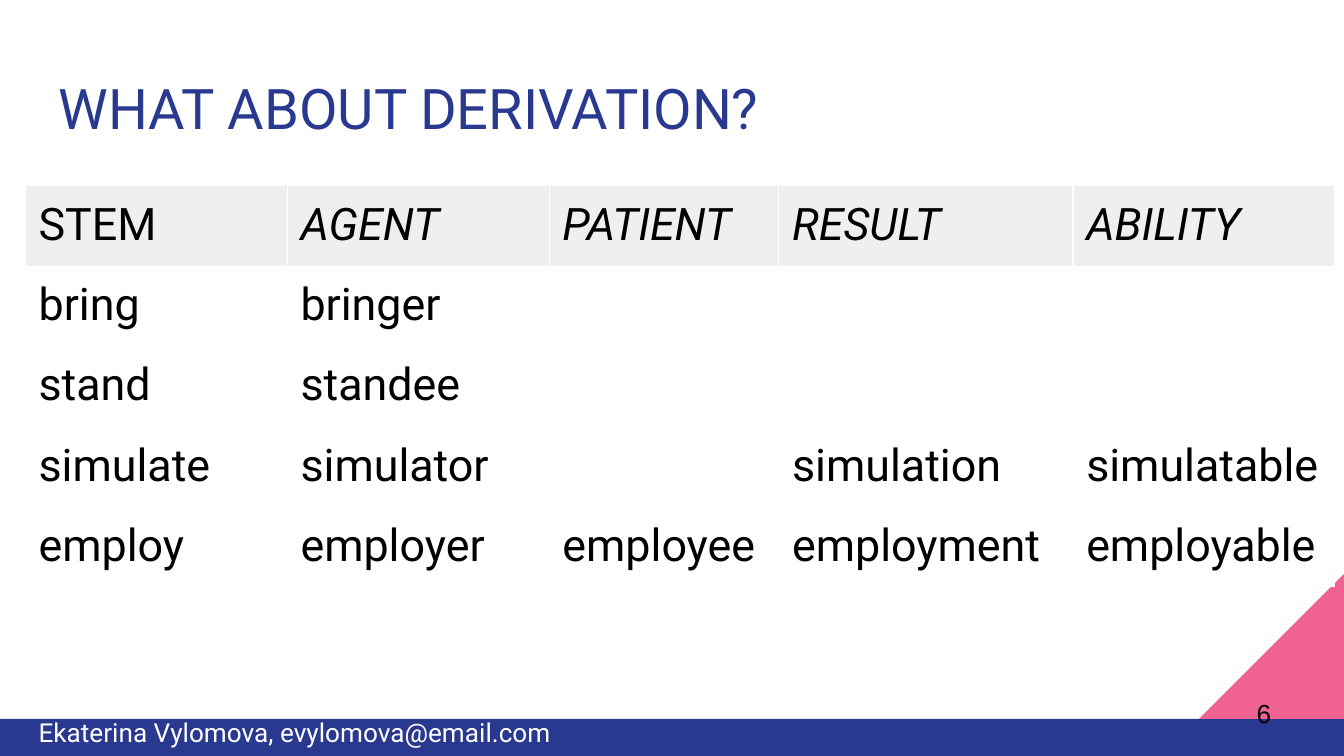
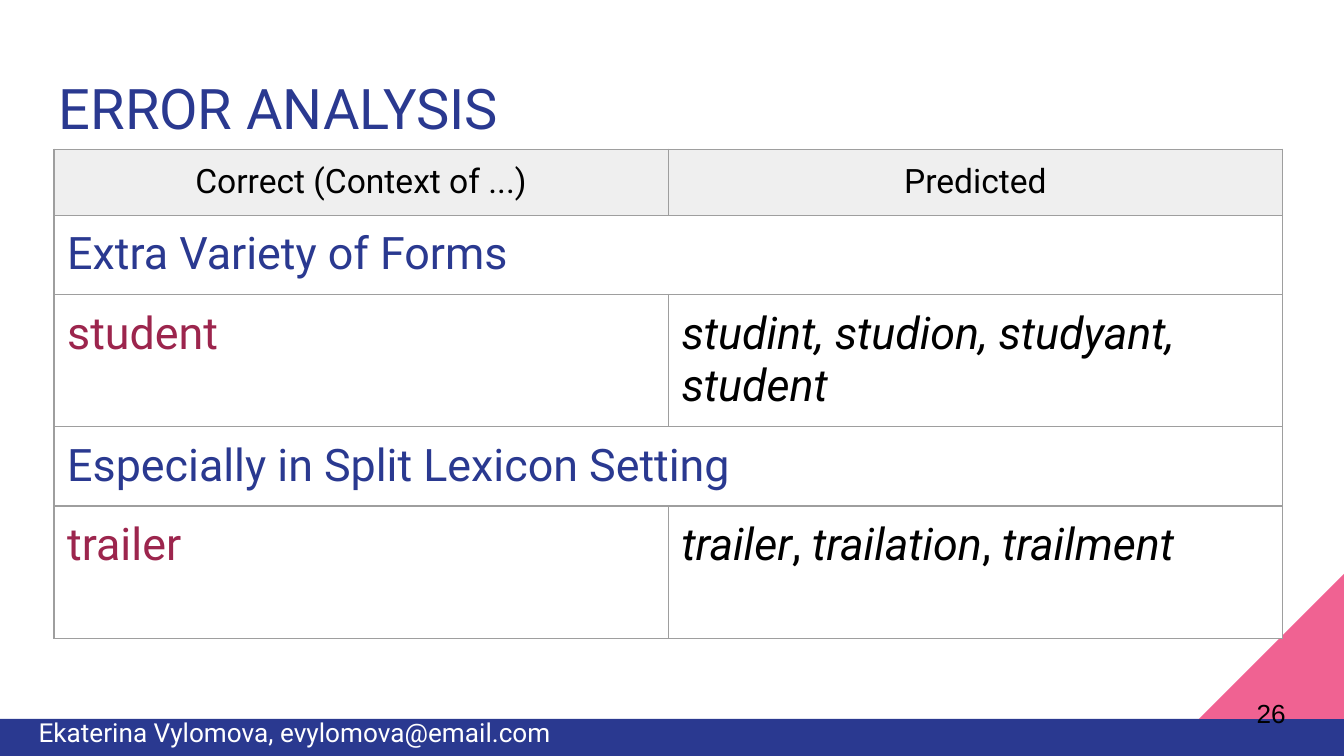
from collections import namedtuple

from lxml import etree
from pptx import Presentation
from pptx.dml.color import RGBColor
from pptx.enum.shapes import MSO_SHAPE
from pptx.enum.text import MSO_ANCHOR, MSO_AUTO_SIZE, PP_ALIGN
from pptx.oxml.ns import qn
from pptx.util import Cm, Pt

RECTANGLE, TRIANGLE = MSO_SHAPE.RECTANGLE, MSO_SHAPE.RIGHT_TRIANGLE
TOP, MIDDLE = MSO_ANCHOR.TOP, MSO_ANCHOR.MIDDLE
LEFT, CENTER = PP_ALIGN.LEFT, PP_ALIGN.CENTER
NO_FIT = MSO_AUTO_SIZE.NONE

COLORS = {
    "navy": "2A3990",
    "pink": "F06292",
    "berry": "9C254D",
    "black": "000000",
    "white": "FFFFFF",
    "header": "EFEFEF",
    "grid": "9E9E9E",
}
FONT = "Roboto"
INSET = Cm(0.25)
TITLE_ONLY = 5
PLAIN_TABLE = "{2D5ABB26-0587-4C30-8999-92F81FD0307C}"
AUTHOR = "Ekaterina Vylomova, evylomova@email.com"

Box = namedtuple("Box", "left top width height")
PAGE = Box(0, 0, Cm(25.4), Cm(14.29))

DERIVATIONS = [
    ["STEM", "AGENT", "PATIENT", "RESULT", "ABILITY"],
    ["bring", "bringer", "", "", ""],
    ["stand", "standee", "", "", ""],
    ["simulate", "simulator", "", "simulation", "simulatable"],
    ["employ", "employer", "employee", "employment", "employable"],
]
ERROR_HEADER = ["Correct (Context of ...)", "Predicted"]
ERROR_GROUPS = [
    ("Extra Variety of Forms", "student",
     [("studint, studion, studyant, student", True)]),
    ("Especially in Split Lexicon Setting", "trailer",
     [("trailer", True), (", ", False), ("trailation", True),
      (", ", False), ("trailment", True)]),
]


def rgb(name):
    """Return the named colour."""
    return RGBColor.from_string(COLORS[name])


def write(frame, text, size, color="black", font=FONT, italic=False, align=LEFT):
    """Write one paragraph from a string or from (text, italic) pieces."""
    para = frame.paragraphs[0]
    para.alignment = align
    para.font.name, para.font.size = font, Pt(size)
    para.font.color.rgb = rgb(color)
    if isinstance(text, str):
        para.font.italic = italic
        para.add_run().text = text
        return
    for piece, slanted in text:
        span = para.add_run()
        span.text = piece
        span.font.italic = slanted


def set_frame(frame, anchor=TOP):
    """Give a text frame wrapping, even insets and a fixed size."""
    frame.word_wrap, frame.auto_size = True, NO_FIT
    frame.vertical_anchor = anchor
    frame.margin_left = frame.margin_right = INSET
    frame.margin_top = frame.margin_bottom = INSET


def add_block(page, kind, box, color):
    """Add a flat shape without outline."""
    shape = page.shapes.add_shape(kind, *box)
    shape.shadow.inherit = False
    shape.fill.solid()
    shape.fill.fore_color.rgb = rgb(color)
    shape.line.fill.background()
    return shape


def add_label(page, box, text, color, font=FONT, anchor=TOP):
    """Add a small text box."""
    frame = page.shapes.add_textbox(*box).text_frame
    set_frame(frame, anchor)
    write(frame, text, 14, color, font)


def add_footer(page, box, number):
    """Draw the band, corner triangle, page number and author line."""
    right, bottom = box.left + box.width, box.top + box.height
    band_top, side = bottom - Cm(0.7), Cm(2.74)
    add_block(page, RECTANGLE, Box(box.left, band_top, box.width, Cm(0.7)), "navy")
    corner = add_block(
        page, TRIANGLE, Box(right - side, band_top - side, side, side), "pink")
    corner.element.spPr.get_or_add_xfrm().set("flipH", "1")
    add_label(page, Box(right - Cm(1.9), bottom - Cm(1.36), Cm(1.52), Cm(1.09)),
              str(number), "black", "Arial", MIDDLE)
    add_label(page, Box(box.left + Cm(0.48), bottom - Cm(1), Cm(19.5), Cm(2.29)),
              AUTHOR, "white")


def add_page(deck, box, title, number):
    """Start a page with its footer and title."""
    page = deck.slides.add_slide(deck.slide_layouts[TITLE_ONLY])
    add_footer(page, box, number)
    holder = page.shapes.title
    holder.left, holder.top = box.left + Cm(0.86), box.top + Cm(1.14)
    holder.width, holder.height = box.width - Cm(1.72), Cm(1.68)
    set_frame(holder.text_frame)
    write(holder.text_frame, title, 30, "navy")
    return page


def add_grid(page, left, top, widths, heights):
    """Add a plain table with the given column widths and row heights in cm."""
    table = page.shapes.add_table(
        len(heights), len(widths), left, top,
        Cm(sum(widths)), Cm(sum(heights))).table
    table._tbl.tblPr.find(qn("a:tableStyleId")).text = PLAIN_TABLE
    for column, width in zip(table.columns, widths):
        column.width = Cm(width)
    for row, height in zip(table.rows, heights):
        row.height = Cm(height)
    return table


def set_cell(cell, fill, border=None, edges="LRTB"):
    """Set the insets, borders and fill of a cell."""
    cell.margin_left = cell.margin_right = INSET
    cell.margin_top = cell.margin_bottom = INSET
    properties = cell._tc.get_or_add_tcPr()
    for edge in edges if border else "":
        line = etree.SubElement(properties, qn("a:ln" + edge), w=str(Pt(0.75)))
        paint = etree.SubElement(line, qn("a:solidFill"))
        etree.SubElement(paint, qn("a:srgbClr"), val=COLORS[border])
    cell.fill.solid()
    cell.fill.fore_color.rgb = rgb(fill)


def add_derivation_page(deck, box):
    """Build the page with the table of derived forms."""
    page = add_page(deck, box, "WHAT ABOUT DERIVATION?", 6)
    table = add_grid(page, box.left + Cm(0.48), box.top + Cm(3.5),
                     [4.95, 4.95, 4.34, 5.56, 4.95], [1.52] * len(DERIVATIONS))
    for row, words in enumerate(DERIVATIONS):
        for column, word in enumerate(words):
            cell = table.cell(row, column)
            if row == 0:
                set_cell(cell, "header", "white", "LRT")
            else:
                set_cell(cell, "white")
            if word:
                write(cell.text_frame, word, 24, italic=row == 0 and column > 0)


def add_error_page(deck, box):
    """Build the page with the table of wrong predictions."""
    page = add_page(deck, box, "ERROR ANALYSIS", 26)
    table = add_grid(page, box.left + Cm(1.02), box.top + Cm(2.82),
                     [11.61, 11.61], [1.24] + [1.5, 2.5] * len(ERROR_GROUPS))
    for row in range(len(table.rows)):
        for column in range(len(table.columns)):
            set_cell(table.cell(row, column), "white" if row else "header", "grid")
    for column, heading in enumerate(ERROR_HEADER):
        write(table.cell(0, column).text_frame, heading, 18, align=CENTER)
    for index, (group, correct, predicted) in enumerate(ERROR_GROUPS):
        row = 1 + 2 * index
        table.cell(row, 0).merge(table.cell(row, 1))
        write(table.cell(row, 0).text_frame, group, 24, "navy")
        write(table.cell(row + 1, 0).text_frame, correct, 24, "berry")
        write(table.cell(row + 1, 1).text_frame, predicted, 24)


def main():
    """Build and save the deck."""
    deck = Presentation()
    deck.slide_width, deck.slide_height = PAGE.width, PAGE.height
    add_derivation_page(deck, PAGE)
    add_error_page(deck, PAGE)
    deck.save("out.pptx")


if __name__ == "__main__":
    main()
